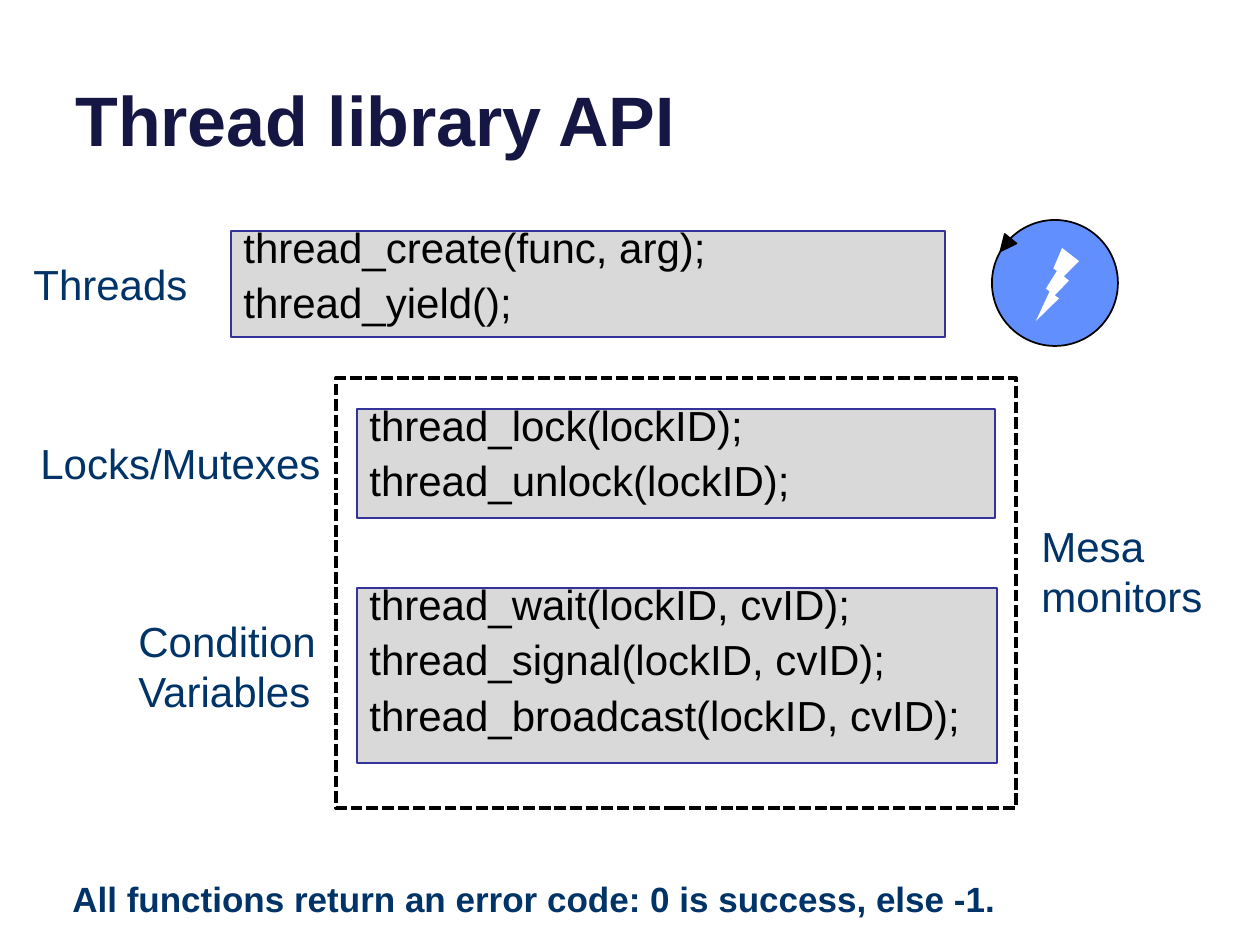
from pptx import Presentation
from pptx.dml.color import RGBColor
from pptx.enum.dml import MSO_LINE
from pptx.enum.shapes import MSO_SHAPE
from pptx.enum.text import MSO_ANCHOR, PP_ALIGN
from pptx.util import Pt

SCALE = 914400 / 126
COLORS = {
    "title": "161645",
    "label": "003367",
    "code": "000000",
    "box_fill": "D9D9D9",
    "box_line": "333399",
    "circle": "618FFD",
    "bolt": "FFFFFF",
    "black": "000000",
}


def add_shape(shapes, kind, place, fill=None, line=None, width=1):
    shape = shapes.add_shape(kind, *[round(value * SCALE) for value in place])
    shape.shadow.inherit = False
    if fill:
        shape.fill.solid()
        shape.fill.fore_color.rgb = RGBColor.from_string(COLORS[fill])
    else:
        shape.fill.background()
    if line:
        shape.line.color.rgb = RGBColor.from_string(COLORS[line])
        shape.line.width = Pt(width)
    else:
        shape.line.fill.background()
    return shape


def write_text(shape, text, size, color, bold=False, wrap=True):
    text_frame = shape.text_frame
    text_frame.text = text
    text_frame.word_wrap = wrap
    text_frame.vertical_anchor = MSO_ANCHOR.TOP
    for paragraph in text_frame.paragraphs:
        paragraph.alignment = PP_ALIGN.LEFT
        for run in paragraph.runs:
            run.font.name = "Arial"
            run.font.size = Pt(size)
            run.font.bold = bold
            run.font.color.rgb = RGBColor.from_string(COLORS[color])
    return text_frame


presentation = Presentation()
presentation.slide_width = round(1260 * SCALE)
presentation.slide_height = round(945 * SCALE)
slide = presentation.slides.add_slide(presentation.slide_layouts[6])

thread_icon = slide.shapes.add_group_shape()
add_shape(thread_icon.shapes, MSO_SHAPE.OVAL, (992, 220, 126, 126), "circle", "black")
bolt = add_shape(thread_icon.shapes, MSO_SHAPE.LIGHTNING_BOLT, (1036, 248, 43, 73), "bolt")
bolt.element.spPr.xfrm.set("flipH", "1")
arrowhead = add_shape(
    thread_icon.shapes, MSO_SHAPE.ISOSCELES_TRIANGLE, (998, 237, 15, 16), "black", "black"
)
arrowhead.rotation = 219

code_boxes = [
    ((231, 231, 714, 106), ["thread_create(func, arg);", "thread_yield();"]),
    ((357, 409, 638, 109), ["thread_lock(lockID);", "thread_unlock(lockID);"]),
    (
        (357, 588, 640, 175),
        [
            "thread_wait(lockID, cvID);",
            "thread_signal(lockID, cvID);",
            "thread_broadcast(lockID, cvID);",
        ],
    ),
]
for place, calls in code_boxes:
    code_box = add_shape(slide.shapes, MSO_SHAPE.RECTANGLE, place, "box_fill", "box_line")
    text_frame = write_text(code_box, "\n".join(calls), 24, "code")
    for index, paragraph in enumerate(text_frame.paragraphs):
        paragraph.line_spacing = 0.65
        paragraph.space_before = Pt(13 if index else 0)

monitor_frame = add_shape(
    slide.shapes, MSO_SHAPE.RECTANGLE, (336, 378, 680, 430), line="black", width=2.25
)
monitor_frame.line.dash_style = MSO_LINE.SQUARE_DOT

texts = [
    ("Thread library API", (63, -47, 1134, 214), 40, "title", True, True),
    ("Threads", (21, 252, 181, 64), 24, "label", False, False),
    ("Locks/Mutexes", (28, 431, 309, 64), 24, "label", False, False),
    ("Condition Variables", (126, 609, 325, 115), 24, "label", False, True),
    ("Mesa monitors", (1029, 514, 284, 115), 24, "label", False, True),
    (
        "All functions return an error code: 0 is success, else -1.",
        (60, 871, 1058, 55), 20, "label", True, True,
    ),
]
for text, place, size, color, bold, wrap in texts:
    text_box = slide.shapes.add_textbox(*[round(value * SCALE) for value in place])
    text_frame = write_text(text_box, text, size, color, bold, wrap)
    if color == "title":
        text_frame.vertical_anchor = MSO_ANCHOR.BOTTOM

presentation.save("out.pptx")
